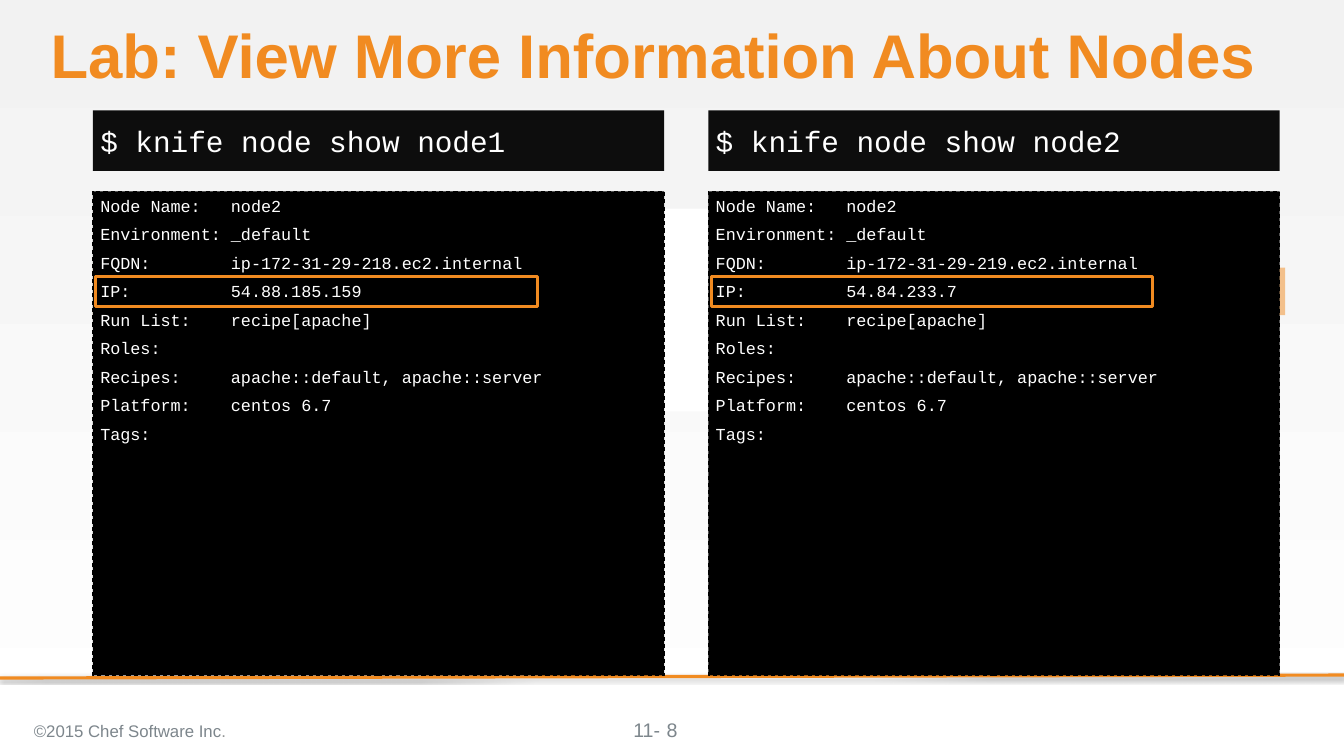
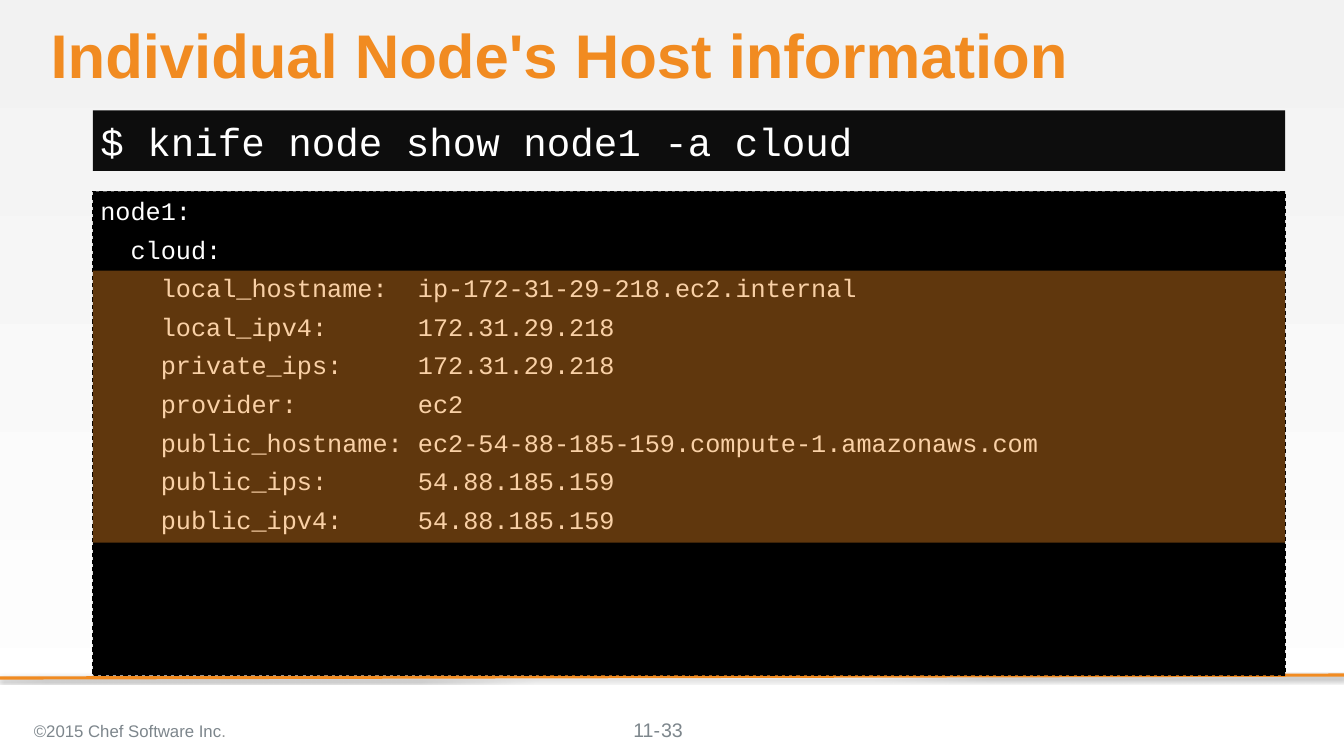
from lxml import etree
from pptx import Presentation
from pptx.dml.color import RGBColor
from pptx.enum.dml import MSO_LINE
from pptx.enum.shapes import MSO_CONNECTOR, MSO_SHAPE
from pptx.enum.text import MSO_ANCHOR, MSO_AUTO_SIZE, PP_ALIGN
from pptx.oxml.ns import nsdecls, qn
from pptx.oxml import parse_xml
from pptx.util import Cm, Pt

RECTANGLE, STRAIGHT, DASH = MSO_SHAPE.RECTANGLE, MSO_CONNECTOR.STRAIGHT, MSO_LINE.DASH
TOP, MIDDLE, BOTTOM = MSO_ANCHOR.TOP, MSO_ANCHOR.MIDDLE, MSO_ANCHOR.BOTTOM
LEFT, CENTER = PP_ALIGN.LEFT, PP_ALIGN.CENTER
NO_FIT = MSO_AUTO_SIZE.NONE

COLOURS = {
    "orange": "F18B21", "white": "FFFFFF", "pale": "F2F2F2", "black": "000000",
    "command": "0D0D0D", "grey": "7D868C", "full stop": "929494",
}
SANS, MONO = "Arial", "Courier New"
LINE_GAP = 8  # points between terminal lines

# Shared measures, in centimetres
SLIDE_WIDTH, SLIDE_HEIGHT = 45.16, 25.4
COLUMN_LEFTS, COLUMN_WIDTH = (3.12, 23.8), 19.2
FULL_WIDTH = 40.06
COMMAND_TOP, COMMAND_HEIGHT = 3.71, 2.03
OUTPUT_TOP, OUTPUT_HEIGHT = 6.43, 16.26

# Shared text frames: margins are left, top, right, bottom
FRAMES = {
    "title": {"anchor": BOTTOM, "margins": (0, 0, 0, 0.06)},
    "command": {"anchor": MIDDLE, "margins": (0.25, 0, 0, 0)},
    "output": {"anchor": TOP, "margins": (0.25, 0.13, 0.25, 0.13)},
    "footer": {"anchor": MIDDLE, "margins": (0.25, 0.13, 0.25, 0.13)},
    "prefix": {"anchor": TOP, "margins": (0.1, 0.03, 0, 0)},
}


def colour(name):
    return RGBColor.from_string(COLOURS[name])


def place(shape, left, top, width, height):
    values = {"left": left, "top": top, "width": width, "height": height}
    for name, value in values.items():
        setattr(shape, name, Cm(value))


def set_frame(shape, style):
    frame = shape.text_frame
    settings = {"word_wrap": True, "auto_size": NO_FIT,
                "vertical_anchor": FRAMES[style]["anchor"]}
    sides = ("margin_left", "margin_top", "margin_right", "margin_bottom")
    settings.update(zip(sides, map(Cm, FRAMES[style]["margins"])))
    for name, value in settings.items():
        setattr(frame, name, value)
    return frame


def add_span(para, text, size, ink, font=SANS, bold=False):
    span = para.add_run()
    span.text = text
    for name, value in {"name": font, "size": Pt(size), "bold": bold}.items():
        setattr(span.font, name, value)
    span.font.color.rgb = colour(ink)


def send_to_back(shape):
    tree = shape._element.getparent()
    tree.insert(2, shape._element)


# Shapes and lines
def add_rectangle(page, box, fill=None, opacity=100, outline=None):
    shape = page.shapes.add_shape(RECTANGLE, *map(Cm, box))
    shape.shadow.inherit = False
    if fill:
        shape.fill.solid()
        shape.fill.fore_color.rgb = colour(fill)
        if opacity < 100:
            tint = shape._element.spPr.find(".//" + qn("a:srgbClr"))
            etree.SubElement(tint, qn("a:alpha"), val=str(opacity * 1000))
    else:
        shape.fill.background()
    if outline:
        shape.line.color.rgb = colour(outline)
        shape.line.width = Pt(3)
    else:
        shape.line.fill.background()
    return shape


def add_footer_rule(page):
    rule = page.shapes.add_connector(
        STRAIGHT, Cm(SLIDE_WIDTH), Cm(22.68), Cm(0), Cm(22.78))
    rule.line.color.rgb = colour("orange")
    rule.line.width = Pt(3)
    rule._element.spPr.append(parse_xml(
        f'<a:effectLst {nsdecls("a")}><a:outerShdw blurRad="{Pt(3.1)}" '
        f'dist="{Pt(1.8)}" dir="5400000"><a:srgbClr val="{COLOURS["black"]}">'
        '<a:alpha val="35000"/></a:srgbClr></a:outerShdw></a:effectLst>'))
    send_to_back(rule)


# Text
def add_text(page, box, style, spans, align=LEFT):
    shape = page.shapes.add_textbox(*map(Cm, box))
    para = set_frame(shape, style).paragraphs[0]
    para.alignment = align
    for text, size, ink in spans:
        add_span(para, text, size, ink)


def add_footer(page, number):
    add_footer_rule(page)
    add_text(page, (21.18, 24.1, 2.03, 0.79), "prefix", [("11-", 18.7, "grey")])
    add_text(page, (0.89, 23.83, 15.77, 1.42), "footer",
             [("©2015 Chef Software Inc", 16, "grey"), (".", 16, "full stop")])
    add_text(page, (17.5, 23.83, 10.16, 1.35), "footer",
             [(number, 18.7, "grey")], CENTER)


def fill_terminal(holder, style, box, lines, size, fill):
    """Turn a body placeholder into a dark panel of terminal text."""
    place(holder, *box)
    holder.fill.solid()
    holder.fill.fore_color.rgb = colour(fill)
    frame = set_frame(holder, style)
    for index, line in enumerate(lines):
        para = frame.add_paragraph() if index else frame.paragraphs[0]
        properties = para._p.get_or_add_pPr()
        properties.set("marL", "0")
        properties.set("indent", "0")
        etree.SubElement(properties, qn("a:buNone"))
        para.space_before = Pt(LINE_GAP if index else 0)
        add_span(para, line, size, "white", MONO)


def add_session(holders, left, width, command, command_size, output, size):
    """Fill two placeholders with a command and the output below it."""
    command_holder, output_holder = holders
    fill_terminal(command_holder, "command",
                  (left, COMMAND_TOP, width, COMMAND_HEIGHT),
                  [command], command_size, "command")
    fill_terminal(output_holder, "output",
                  (left, OUTPUT_TOP, width, OUTPUT_HEIGHT),
                  output, size, "black")
    output_holder.line.color.rgb = colour("black")
    output_holder.line.width = Pt(1)
    output_holder.line.dash_style = DASH


def align_fields(fields, width, indent=0):
    """Lay out label and value pairs as the terminal prints them."""
    return [(" " * indent + f"{label + ':':<{width}}{value}").rstrip()
            for label, value in fields]


# Pages
def add_page(deck, layout, title):
    page = deck.slides.add_slide(deck.slide_layouts[layout])
    fill = page.background.fill
    fill.gradient()
    fill.gradient_angle = 270
    for stop, (position, name) in zip(fill.gradient_stops,
                                      ((0, "pale"), (1, "white"))):
        stop.position = position
        stop.color.rgb = colour(name)

    place(page.shapes.title, 1.7, 0.84, 41.48, 2.31)
    para = set_frame(page.shapes.title, "title").paragraphs[0]
    para.alignment = LEFT
    para.line_spacing = 0.9
    add_span(para, title, 58.7, "orange", bold=True)
    bodies = [holder for holder in page.placeholders
              if holder.placeholder_format.idx]
    return page, bodies


def add_nodes_page(deck):
    page, bodies = add_page(deck, 4, "Lab: View More Information About Nodes")
    nodes = (
        ("node1", "ip-172-31-29-218.ec2.internal", "54.88.185.159"),
        ("node2", "ip-172-31-29-219.ec2.internal", "54.84.233.7"),
    )
    for index, (left, (node, host, address)) in enumerate(zip(COLUMN_LEFTS, nodes)):
        output = align_fields((
            ("Node Name", "node2"),
            ("Environment", "_default"),
            ("FQDN", host),
            ("IP", address),
            ("Run List", "recipe[apache]"),
            ("Roles", ""),
            ("Recipes", "apache::default, apache::server"),
            ("Platform", "centos 6.7"),
            ("Tags", ""),
        ), 13)
        add_session(bodies[2 * index:2 * index + 2], left, COLUMN_WIDTH,
                    f"$ knife node show {node}", 28, output, 16)
        add_rectangle(page, (left + 0.1, 9.3, 14.83, 0.99), outline="orange")

    # Backdrop behind the terminals, front to back
    send_to_back(add_rectangle(page, (19.89, 7.01, 7.26, 6.81), "white"))
    send_to_back(add_rectangle(page, (COLUMN_LEFTS[0], 8.99, FULL_WIDTH, 1.6),
                               "orange", 50))
    add_footer(page, "8")


def add_cloud_page(deck):
    page, bodies = add_page(deck, 3, "Individual Node's Host information")
    output = ["node1:", "  cloud:"] + align_fields((
        ("local_hostname", "ip-172-31-29-218.ec2.internal"),
        ("local_ipv4", "172.31.29.218"),
        ("private_ips", "172.31.29.218"),
        ("provider", "ec2"),
        ("public_hostname", "ec2-54-88-185-159.compute-1.amazonaws.com"),
        ("public_ips", "54.88.185.159"),
        ("public_ipv4", "54.88.185.159"),
    ), 17, indent=4)
    add_session(bodies, COLUMN_LEFTS[0], FULL_WIDTH,
                "$ knife node show node1 -a cloud", 37.3, output, 24)
    add_rectangle(page, (COLUMN_LEFTS[0], 9.09, FULL_WIDTH, 9.14), "orange", 40)
    add_footer(page, "33")


def main():
    deck = Presentation()
    deck.slide_width, deck.slide_height = Cm(SLIDE_WIDTH), Cm(SLIDE_HEIGHT)
    add_nodes_page(deck)
    add_cloud_page(deck)
    deck.save("out.pptx")


if __name__ == "__main__":
    main()
